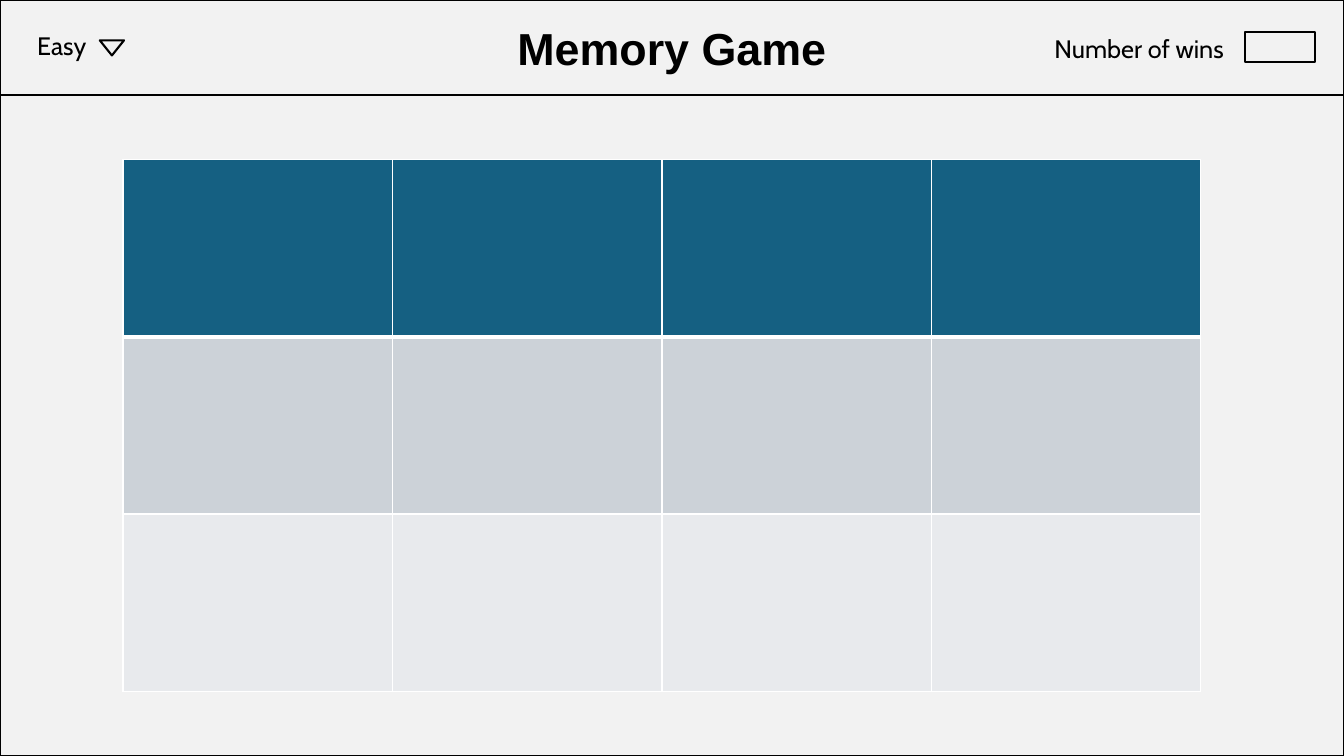
from lxml import etree
from pptx import Presentation
from pptx.dml.color import RGBColor
from pptx.enum.shapes import MSO_SHAPE
from pptx.enum.text import MSO_ANCHOR, PP_ALIGN
from pptx.oxml.ns import qn
from pptx.util import Inches, Pt

RECTANGLE, TRIANGLE = MSO_SHAPE.RECTANGLE, MSO_SHAPE.ISOSCELES_TRIANGLE
MIDDLE, CENTER = MSO_ANCHOR.MIDDLE, PP_ALIGN.CENTER
BLACK = RGBColor(0x00, 0x00, 0x00)
WHITE = RGBColor(0xFF, 0xFF, 0xFF)
PALE_GREY = RGBColor(0xF2, 0xF2, 0xF2)
ROW_COLORS = (
    RGBColor(0x15, 0x60, 0x82),
    RGBColor(0xCC, 0xD2, 0xD8),
    RGBColor(0xE8, 0xEA, 0xED),
)
COLUMN_COUNT = 4
SLIDE_WIDTH, SLIDE_HEIGHT = 13.33, 7.5
HEADER_HEIGHT = 0.94
BOARD_BOX = (1.22, 1.58, 10.69, 5.28)
TITLE_FORMAT = {"name": "Arial", "size": Pt(32), "bold": True}
LABEL_FORMAT = {"name": "Cabin", "size": Pt(18)}


def inches(box):
    """Turn a box given in inches into lengths."""
    return [Inches(value) for value in box]


def add_outline(slide, kind, box, fill=None):
    """Add a black-edged shape, hollow unless a fill is given."""
    shape = slide.shapes.add_shape(kind, *inches(box))
    shape.shadow.inherit = False
    shape.line.color.rgb = BLACK
    shape.line.width = Pt(1.5)
    if fill is None:
        shape.fill.background()
    else:
        shape.fill.solid()
        shape.fill.fore_color.rgb = fill
    return shape


def write_text(shape, text, font_format):
    """Write one black run and return its paragraph."""
    paragraph = shape.text_frame.paragraphs[0]
    run = paragraph.add_run()
    run.text = text
    run.font.color.rgb = BLACK
    for name, value in font_format.items():
        setattr(run.font, name, value)
    return paragraph


def add_label(slide, text, left, top):
    """Add a header label at the given corner."""
    label = slide.shapes.add_textbox(*inches((left, top, 2.81, 0.4)))
    label.text_frame.word_wrap = True
    write_text(label, text, LABEL_FORMAT)


def add_header(slide, box):
    """Draw the title bar with the level picker and the win counter."""
    left, top, width, height = box
    right = left + width
    bar = add_outline(slide, RECTANGLE, box, PALE_GREY)
    bar.text_frame.vertical_anchor = MIDDLE
    write_text(bar, "Memory Game", TITLE_FORMAT).alignment = CENTER

    add_label(slide, "Easy", left + 0.27, top + 0.25)
    arrow = add_outline(slide, TRIANGLE, (left + 0.99, top + 0.4, 0.24, 0.15))
    arrow.rotation = 180

    add_label(slide, "Number of wins", right - 2.97, top + 0.28)
    add_outline(slide, RECTANGLE, (right - 0.98, top + 0.32, 0.69, 0.3))


def set_borders(cell, widths):
    """Give a cell white borders, with widths in points by side."""
    properties = cell._tc.get_or_add_tcPr()
    for index, (side, width) in enumerate(widths.items()):
        line = etree.Element(qn(f"a:ln{side}"), w=str(Pt(width)))
        fill = etree.SubElement(line, qn("a:solidFill"))
        etree.SubElement(fill, qn("a:srgbClr"), val=str(WHITE))
        properties.insert(index, line)


def add_board(slide, box):
    """Draw the grid of memory cards, one colour per row."""
    row_count = len(ROW_COLORS)
    table = slide.shapes.add_table(row_count, COLUMN_COUNT, *inches(box)).table
    for row_index, color in enumerate(ROW_COLORS):
        top_width = 3 if row_index == 1 else 1
        bottom_width = 3 if row_index == 0 else 1
        for cell in table.rows[row_index].cells:
            cell.fill.solid()
            cell.fill.fore_color.rgb = color
            set_borders(cell, {"L": 1, "R": 1, "T": top_width, "B": bottom_width})


def main():
    """Build and save the game slide."""
    presentation = Presentation()
    presentation.slide_width = Inches(SLIDE_WIDTH)
    presentation.slide_height = Inches(SLIDE_HEIGHT)
    slide = presentation.slides.add_slide(presentation.slide_layouts[6])
    add_outline(slide, RECTANGLE, (0, 0, SLIDE_WIDTH, SLIDE_HEIGHT), PALE_GREY)
    add_header(slide, (0, 0, SLIDE_WIDTH, HEADER_HEIGHT))
    add_board(slide, BOARD_BOX)
    presentation.save("out.pptx")


if __name__ == "__main__":
    main()
